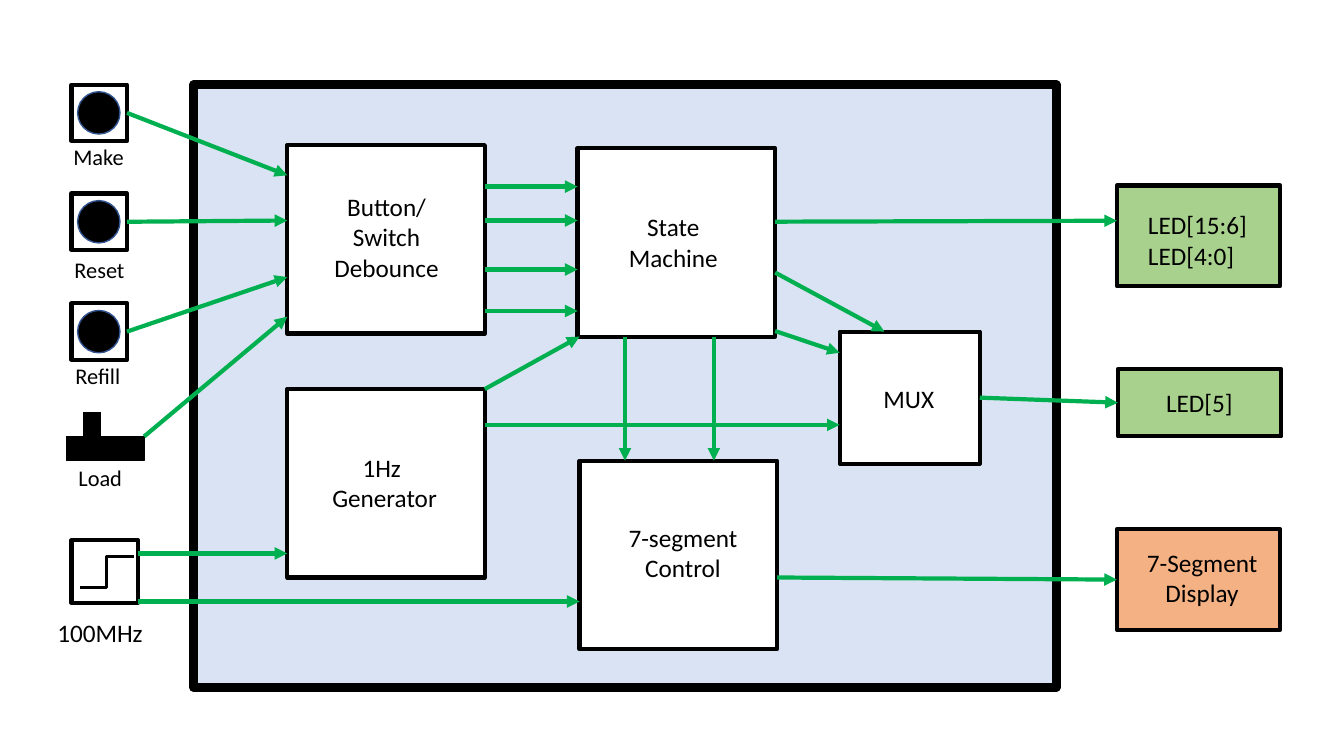
from lxml.etree import SubElement
from pptx import Presentation
from pptx.dml.color import RGBColor
from pptx.enum.shapes import MSO_CONNECTOR as Link, MSO_SHAPE as Form
from pptx.enum.text import MSO_AUTO_SIZE as Auto, PP_ALIGN as Align
from pptx.oxml.ns import qn
from pptx.util import Inches, Pt

BLACK = RGBColor(0, 0, 0)
WHITE = RGBColor(0xFF, 0xFF, 0xFF)
PALE = RGBColor(0xDA, 0xE3, 0xF3)
NAVY = RGBColor(0x32, 0x54, 0x91)
GREEN = RGBColor(0, 0xB0, 0x50)
LEAF = RGBColor(0xA9, 0xD1, 0x8E)
PEACH = RGBColor(0xF4, 0xB1, 0x83)

# The slide is a grid of square cells; all boxes count cells.
CELL = Inches(0.1)
COLS, ROWS = 133.33, 75
TOP, LEFT, BOTTOM, RIGHT = range(4)
MID = 0.5


def emu(*cells):
    return [round(n * CELL) for n in cells]


def inner(box, part):
    """Turn a part measured from the corner of a box into a slide box."""
    return (box[0] + part[0], box[1] + part[1], *part[2:])


def draw(slide, box, fill=WHITE, line=BLACK, width=3, form=Form.RECTANGLE):
    shape = slide.shapes.add_shape(form, *emu(*box))
    shape.shadow.inherit = False
    shape.fill.solid()
    shape.fill.fore_color.rgb = fill
    shape.line.color.rgb = line
    shape.line.width = Pt(width)
    return shape


def label(slide, box, text, size=18, align=Align.CENTER):
    frame = slide.shapes.add_textbox(*emu(*box)).text_frame
    frame.text = text
    frame.word_wrap = False
    frame.auto_size = Auto.SHAPE_TO_FIT_TEXT
    for para in frame.paragraphs:
        para.alignment = align
        for run in para.runs:
            run.font.name = "Calibri"
            run.font.size = Pt(size)
            run.font.color.rgb = BLACK


def link(slide, kind, start, end, color, width):
    line = slide.shapes.add_connector(kind, *start, *end)
    line.line.color.rgb = color
    line.line.width = Pt(width)
    SubElement(line._element.spPr, qn("a:effectLst"))
    return line


def spot(shape, side, share):
    """Find the point at a share of the way along a side."""
    x, y = shape.left, shape.top
    if side in (TOP, BOTTOM):
        return round(x + share * shape.width), y + (side == BOTTOM) * shape.height
    return x + (side == RIGHT) * shape.width, round(y + share * shape.height)


def wire(slide, source, out, share, target, into, goal=None):
    """Draw an arrow between two sides; without a goal it runs straight."""
    start = spot(source, out, share)
    end = spot(target, into, goal or 0)
    if goal is None:
        end = (start[0], end[1]) if into == TOP else (end[0], start[1])
    line = link(slide, Link.STRAIGHT, start, end, GREEN, 3)
    if share == MID:
        line.begin_connect(source, out)
    if goal == MID:
        line.end_connect(target, into)
    stroke = line._element.spPr.find(qn("a:ln"))
    SubElement(stroke, qn("a:tailEnd"), type="triangle")


def chip(slide, box):
    draw(slide, box, PALE, width=6)
    big = (19.6, 18.7)
    parts = {
        "debounce": ((9.3, 6, *big), "Button/\nSwitch\nDebounce", (3.6, 4.1, 12.5, 10.1)),
        "state": ((38.1, 6.3, *big), "State\nMachine", (4, 5.8, 11, 7.1)),
        "clock": ((9.3, 30.2, *big), "1Hz \nGenerator", (3.4, 5.8, 12.5, 7.1)),
        "control": ((38.3, 37.3, *big), "7-segment\nControl", (3.8, 5.6, 12.9, 7.1)),
        "mux": ((64.1, 24.5, 13.9, 13.1), "MUX", (3.3, 4.6, 7.1, 4)),
    }
    found = {}
    for name, (part, text, tag) in parts.items():
        place = inner(box, part)
        found[name] = draw(slide, place)
        label(slide, inner(place, tag), text)
    return found


def inputs(slide, box):
    found = {}
    buttons = [
        ("Make", 0, (-0.8, 5.3, 7.1, 3.7)),
        ("Reset", 10.8, (-0.7, 5.7, 7.1, 3.7)),
        ("Refill", 21.7, (-0.6, 5.3, 6.5, 3.7)),
    ]
    for text, row, tag in buttons:
        place = inner(box, (2.4, row, 5.5, 5.6))
        found[text] = draw(slide, place)
        draw(slide, inner(place, (0.6, 0.7, 4.2, 4.2)), BLACK, NAVY, 1, Form.OVAL)
        label(slide, inner(place, tag), text, 16, Align.LEFT)

    base = inner(box, (1.9, 34.9, 7.7, 2.4))
    found["Load"] = draw(slide, base, BLACK, width=1)
    draw(slide, inner(base, (1.7, -2.4, 1.7, 2.4)), BLACK, width=1)
    label(slide, inner(base, (0.2, 2.3, 6.4, 3.7)), "Load", 16, Align.LEFT)

    pulse = inner(box, (2.4, 45.2, 6.6, 6.2))
    found["100MHz"] = draw(slide, pulse)
    low, high = inner(pulse, (0.8, 4.7)), inner(pulse, (6.2, 1.6))
    link(slide, Link.ELBOW, emu(*low), emu(*high), BLACK, 2.25)
    label(slide, inner(pulse, (-2.4, 7.2, 10.6, 4)), "100MHz", align=Align.LEFT)
    return found


def outputs(slide, box):
    parts = {
        "pair": ((0, 0, 16.2, 10), LEAF, "LED[15:6]\nLED[4:0]",
                 (2.1, 1.9, 11.9, 7.1), Align.LEFT),
        "led": ((0.1, 18.2, 16.2, 6.7), LEAF, "LED[5]",
                (3.8, 1.3, 8.7, 4), Align.LEFT),
        "display": ((0, 34.1, 16.2, 10), PEACH, "7-Segment\nDisplay",
                    (1.9, 1.3, 13.1, 7.1), Align.CENTER),
    }
    found = {}
    for name, (part, fill, text, tag, align) in parts.items():
        place = inner(box, part)
        found[name] = draw(slide, place, fill)
        label(slide, inner(place, tag), text, align=align)
    return found


def wires(slide, parts):
    paths = [
        ("Make", RIGHT, MID, "debounce", LEFT, 0.16),
        ("Reset", RIGHT, MID, "debounce", LEFT, 0.4),
        ("Refill", RIGHT, MID, "debounce", LEFT, 0.7),
        ("Load", RIGHT, 0, "debounce", LEFT, 0.91),
        *[("debounce", RIGHT, share, "state", LEFT)
          for share in (0.22, 0.4, 0.66, 0.88)],
        ("100MHz", RIGHT, 0.21, "clock", LEFT),
        ("100MHz", RIGHT, 0.98, "control", LEFT),
        ("clock", RIGHT, 0, "state", BOTTOM, 0.01),
        ("clock", RIGHT, 0.19, "mux", LEFT),
        ("state", BOTTOM, 0.24, "control", TOP),
        ("state", BOTTOM, 0.69, "control", TOP),
        ("state", RIGHT, 0.97, "mux", LEFT, 0.16),
        ("state", RIGHT, 0.66, "mux", TOP, 0.32),
        ("state", RIGHT, 0.39, "pair", LEFT, 0.35),
        ("mux", RIGHT, MID, "led", LEFT, MID),
        ("control", RIGHT, 0.62, "display", LEFT, MID),
    ]
    for source, out, share, target, *end in paths:
        wire(slide, parts[source], out, share, parts[target], *end)


def main():
    deck = Presentation()
    deck.slide_width, deck.slide_height = emu(COLS, ROWS)
    slide = deck.slides.add_slide(deck.slide_layouts[6])
    parts = {
        **chip(slide, (19.2, 8.4, 85.6, 59.8)),
        **inputs(slide, (4.7, 8.4, 10.6, 56.4)),
        **outputs(slide, (110.8, 18.4, 16.3, 44.1)),
    }
    wires(slide, parts)
    deck.save("out.pptx")


if __name__ == "__main__":
    main()
